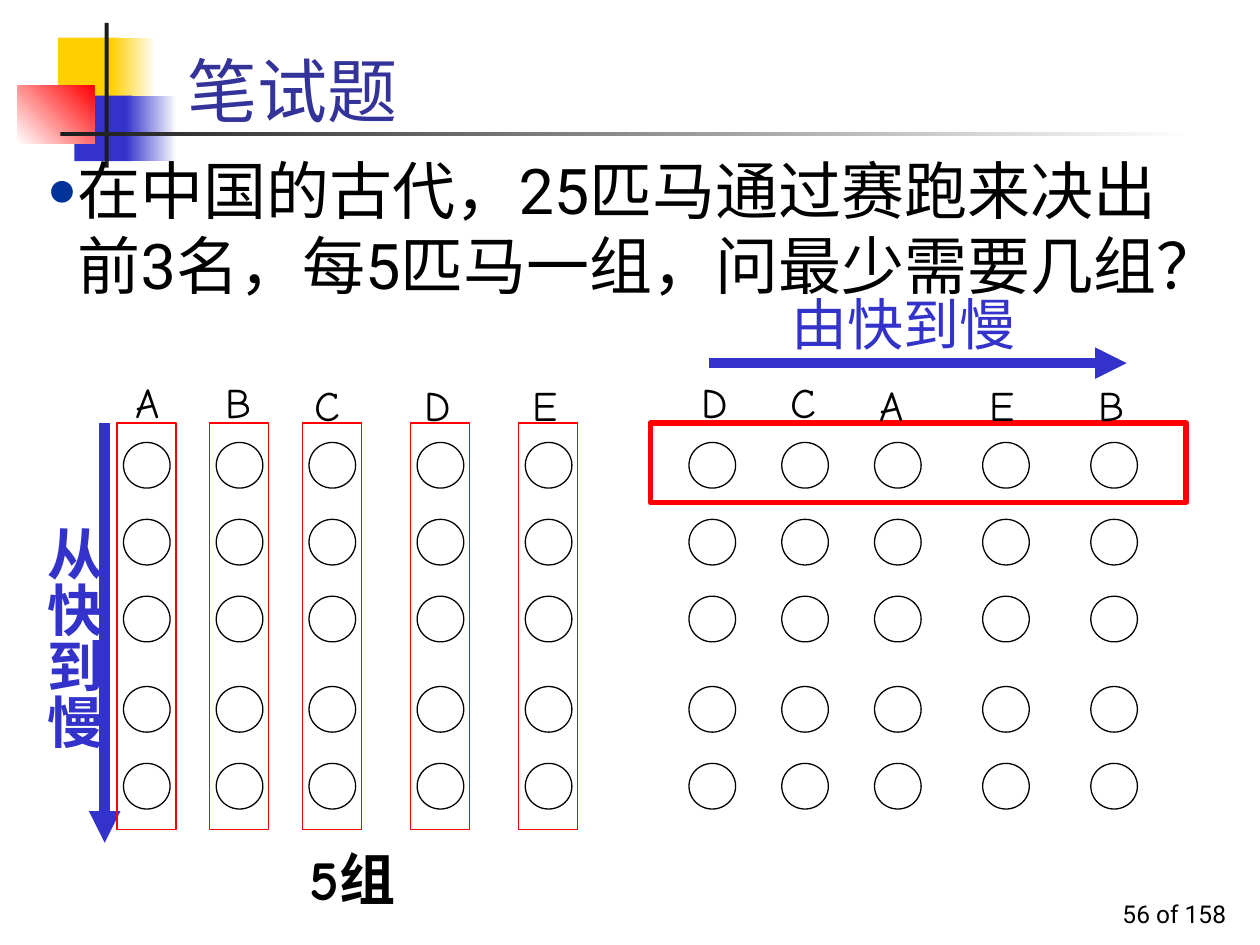
from dataclasses import dataclass

from lxml.etree import SubElement
from pptx import Presentation
from pptx.dml.color import RGBColor as Rgb
from pptx.enum.shapes import MSO_CONNECTOR as Link, MSO_SHAPE as Shape
from pptx.enum.text import MSO_ANCHOR as Anchor, MSO_AUTO_SIZE as Fit, PP_ALIGN as Align
from pptx.oxml.ns import qn
from pptx.util import Cm, Pt


@dataclass(frozen=True)
class Theme:
    black: str = "000000"
    white: str = "FFFFFF"
    ink: str = "1C1C1C"
    yellow: str = "FFCF01"
    blue: str = "3333CC"
    red: str = "FF0000"
    heading: str = "333399"
    bullet: str = "003399"
    sans: str = "Roboto"
    serif: str = "Times New Roman"
    hand: str = "Comic Neue"
    title_size: int = 40
    body_size: int = 36
    note_size: int = 32
    label_size: int = 24
    footer_size: int = 14


THEME = Theme()
COLUMNS = [0, 1.87, 3.74, 5.92, 8.1]
LABEL_COLUMNS = [0, 1.8, 3.6, 5.81, 8]
LABEL_TOPS = [7.47, 7.47, 7.52, 7.52, 7.52]
ROWS = [8.92, 10.47, 12.02, 13.84, 15.39]
LEFT_GRID, RIGHT_GRID = 2.49, 13.89
FRAME_TOP = 8.53


def lengths(box):
    return [Cm(value) for value in box]


def write(frame, text, size, color, font=THEME.sans, bold=False, align=Align.LEFT):
    paragraph = frame.paragraphs[0]
    paragraph.alignment = align
    paragraph.space_before = Pt(0)
    run = paragraph.add_run()
    run.text = text
    run.font.size = Pt(size)
    run.font.name = font
    run.font.bold = bold
    run.font.color.rgb = Rgb.from_string(color)
    return paragraph


def add_text(shapes, box, text, size, color=THEME.black, wrap=True, anchor=Anchor.TOP, **style):
    frame = shapes.add_textbox(*lengths(box)).text_frame
    frame.word_wrap = wrap
    frame.vertical_anchor = anchor
    write(frame, text, size, color, **style)
    return frame


def add_block(shapes, box, start, end=None, angle=0):
    block = shapes.add_shape(Shape.RECTANGLE, *lengths(box))
    block.shadow.inherit = False
    block.line.fill.background()
    if end is None:
        block.fill.solid()
        block.fill.fore_color.rgb = Rgb.from_string(start)
    else:
        block.fill.gradient()
        block.fill.gradient_angle = angle
        for stop, color in zip(block.fill.gradient_stops, (start, end)):
            stop.color.rgb = Rgb.from_string(color)


def add_outline(shapes, kind, box, color, width=0.75):
    outline = shapes.add_shape(kind, *lengths(box))
    outline.shadow.inherit = False
    outline.fill.background()
    outline.line.color.rgb = Rgb.from_string(color)
    outline.line.width = Pt(width)


def add_arrow(shapes, start, end):
    arrow = shapes.add_connector(Link.STRAIGHT, *lengths(start + end))
    arrow.line.color.rgb = Rgb.from_string(THEME.blue)
    arrow.line.width = Pt(6)
    SubElement(arrow.line._get_or_add_ln(), qn("a:tailEnd"), type="triangle")
    SubElement(arrow._element.spPr, qn("a:effectLst"))


def add_horses(shapes, left):
    for column in COLUMNS:
        for top in ROWS:
            add_outline(shapes, Shape.OVAL, (left + column, top, 0.94, 0.92), THEME.black)


def add_labels(shapes, left, names):
    for name, column, top in zip(names, LABEL_COLUMNS, LABEL_TOPS):
        add_text(shapes, (left + column, top, 1.4, 1.27), name, THEME.label_size, font=THEME.hand)


def add_decoration(shapes):
    add_block(shapes, (1.17, 0.76, 1.22, 1.32), THEME.yellow)
    add_block(shapes, (2.24, 0.76, 0.91, 1.32), THEME.yellow, THEME.white)
    add_block(shapes, (1.5, 1.93, 1.17, 1.32), THEME.blue)
    add_block(shapes, (2.54, 1.93, 1.02, 1.32), THEME.blue, THEME.white)
    add_block(shapes, (0.35, 1.72, 1.55, 1.17), THEME.white, THEME.red, angle=45)
    add_block(shapes, (2.11, 0.46, 0.08, 2.92), THEME.ink)
    add_block(shapes, (1.22, 2.67, 22.86, 0.08), THEME.ink, THEME.white)


def place(shapes, placeholder, box, anchor):
    placeholder.left, placeholder.top, placeholder.width, placeholder.height = lengths(box)
    shapes._spTree.append(placeholder._element)
    frame = placeholder.text_frame
    frame.word_wrap = True
    frame.auto_size = Fit.NONE
    frame.vertical_anchor = anchor
    return frame


def add_bullet(paragraph):
    properties = paragraph._p.get_or_add_pPr()
    properties.set("marL", str(Cm(0.62)))
    properties.set("indent", str(Cm(-0.62)))
    color = SubElement(properties, qn("a:buClr"))
    SubElement(color, qn("a:srgbClr"), val=THEME.bullet)
    SubElement(properties, qn("a:buSzPct"), val="80000")
    SubElement(properties, qn("a:buChar"), char="●")


def add_question(slide):
    title, body = slide.placeholders
    heading = place(slide.shapes, title, (3.53, 0.43, 21.64, 2.34), Anchor.BOTTOM)
    write(heading, "笔试题", THEME.title_size, THEME.heading, THEME.serif)
    question = place(slide.shapes, body, (0.69, 2.92, 23.6, 4.83), Anchor.TOP)
    add_bullet(write(question, "在中国的古代，25匹马通过赛跑来决出前3名，每5匹马一组，问最少需要几组？",
                     THEME.body_size, THEME.black))


def add_heats(shapes):
    add_horses(shapes, LEFT_GRID)
    speed = add_text(shapes, (0.43, 10.36, 1.85, 6.35), "从快到慢", THEME.note_size, THEME.blue, bold=True)
    speed._txBody.bodyPr.set("vert", "eaVert")
    speed.margin_left = speed.margin_right = Cm(0.13)
    speed.margin_top = speed.margin_bottom = Cm(0.25)
    add_arrow(shapes, (2.11, FRAME_TOP), (2.11, 16.99))
    for column in COLUMNS:
        add_outline(shapes, Shape.RECTANGLE, (LEFT_GRID + column - 0.13, FRAME_TOP, 1.19, 8.2), THEME.red)
    add_labels(shapes, LEFT_GRID, "ABCDE")


def add_final(shapes):
    add_horses(shapes, RIGHT_GRID)
    add_outline(shapes, Shape.RECTANGLE, (13.11, FRAME_TOP, 10.8, 1.6), THEME.red, 3)
    add_labels(shapes, RIGHT_GRID, "DCAEB")
    add_arrow(shapes, (14.3, 7.32), (22.71, 7.32))
    add_text(shapes, (15.7, 5.72, 7.39, 1.63), "由快到慢", THEME.note_size, THEME.blue)


def main():
    deck = Presentation()
    deck.slide_width, deck.slide_height = Cm(25.4), Cm(19.05)
    slide = deck.slides.add_slide(deck.slide_layouts[1])
    shapes = slide.shapes
    add_decoration(shapes)
    add_text(shapes, (19.69, 17.58, 5.28, 1.27), "56 of 158", THEME.footer_size,
             anchor=Anchor.BOTTOM, align=Align.RIGHT)
    add_question(slide)
    add_text(shapes, (5.99, 16.89, 2.51, 1.63), "5组", THEME.note_size,
             wrap=False, font=THEME.hand, bold=True)
    add_heats(shapes.add_group_shape().shapes)
    add_final(shapes.add_group_shape().shapes)
    deck.save("out.pptx")


if __name__ == "__main__":
    main()
